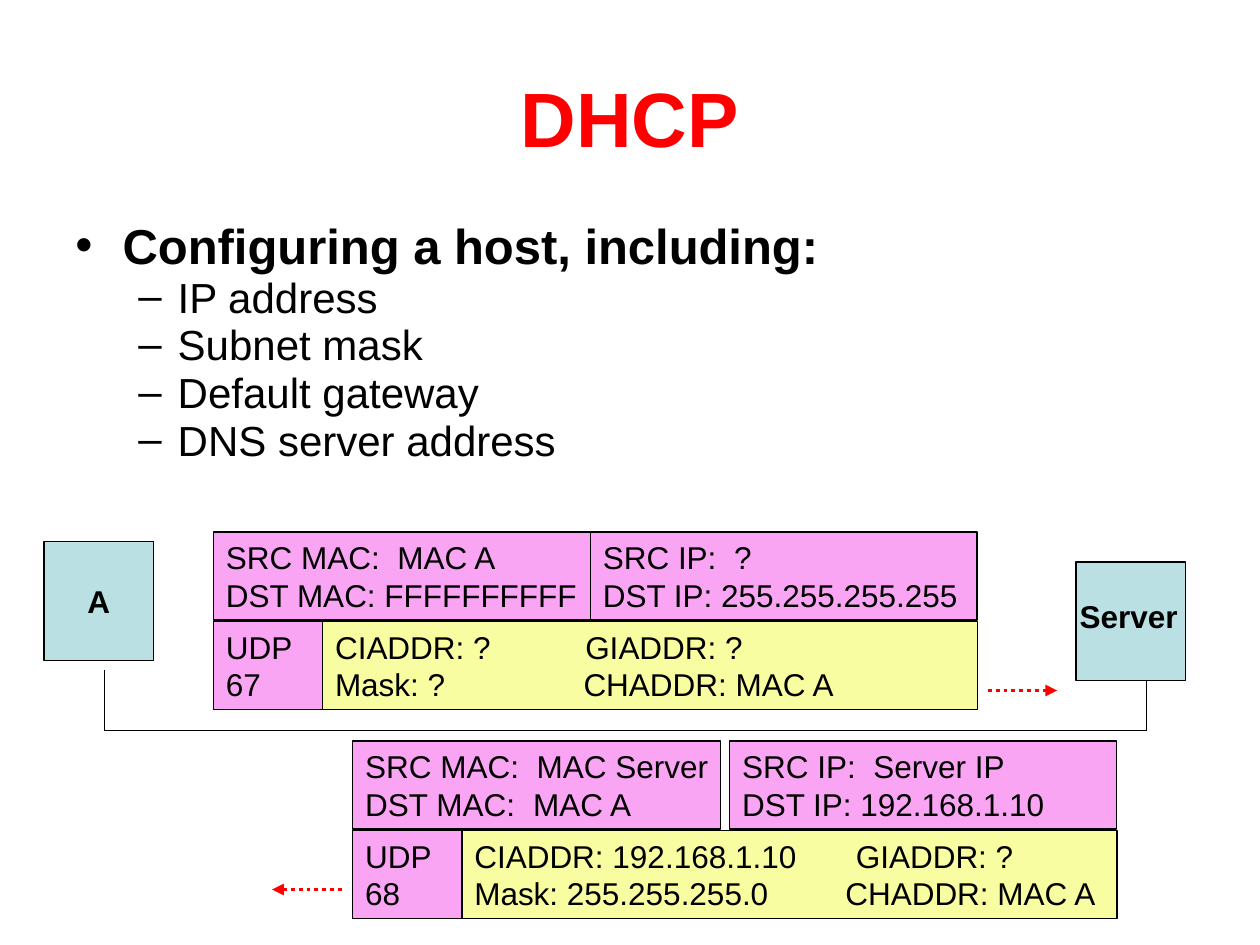
from lxml import etree
from pptx import Presentation
from pptx.dml.color import RGBColor
from pptx.enum.dml import MSO_LINE
from pptx.enum.shapes import MSO_CONNECTOR, MSO_SHAPE
from pptx.enum.text import MSO_ANCHOR, PP_ALIGN
from pptx.oxml.ns import qn
from pptx.util import Pt

RECT = MSO_SHAPE.RECTANGLE
STRAIGHT = MSO_CONNECTOR.STRAIGHT
DOTS = MSO_LINE.ROUND_DOT
TOP, MIDDLE = MSO_ANCHOR.TOP, MSO_ANCHOR.MIDDLE
LEFT, CENTER = PP_ALIGN.LEFT, PP_ALIGN.CENTER

COLORS = {"ink": "000000", "red": "FF0000", "host": "BBE0E3",
          "head": "FAA4F4", "data": "F9FDA1"}
FONT = {"name": "Arial", "size": Pt(18), "bold": False}
BOLD = {"bold": True}
TITLE = {"size": Pt(44), "bold": True}
LEVELS = [
    {"mark": "•", "indent": 27, "hang": 27, "font": {"size": Pt(28), "bold": True}},
    {"mark": "–", "indent": 58.5, "hang": 22.5, "font": {"size": Pt(24)}},
]
POINTS = [(0, "Configuring a host, including:"), (1, "IP address"),
          (1, "Subnet mask"), (1, "Default gateway"), (1, "DNS server address")]

ROW, STEP = 50.4, 51.1
UDP_W, DATA_W, IP_X, IP_W = 62.4, 374.4, 215.4, 221


def rgb(name):
    return RGBColor.from_string(COLORS[name])


def set_font(para, style, color="ink"):
    for key, value in {**FONT, **style}.items():
        setattr(para.font, key, value)
    para.font.color.rgb = rgb(color)


def add_tab(para, pos):
    tabs = etree.SubElement(para._p.get_or_add_pPr(), qn("a:tabLst"))
    etree.SubElement(tabs, qn("a:tab"), pos=str(Pt(pos)), algn="l")


def add_mark(para, mark, indent, hang):
    props = para._p.get_or_add_pPr()
    props.set("marL", str(Pt(indent)))
    props.set("indent", str(-Pt(hang)))
    etree.SubElement(props, qn("a:buFont"), typeface=FONT["name"])
    etree.SubElement(props, qn("a:buChar"), char=mark)


def write(shape, lines, style=FONT, color="ink", align=LEFT, anchor=TOP, wrap=True):
    """Fill a shape with (text, tab stop) lines; a stop of None adds no tab."""
    frame = shape.text_frame
    frame.word_wrap = wrap
    frame.vertical_anchor = anchor
    for i, (text, stop) in enumerate(lines):
        para = frame.add_paragraph() if i else frame.paragraphs[0]
        para.text = text
        para.alignment = align
        if stop:
            add_tab(para, stop)
        set_font(para, style, color)


def add_text(slide, x, y, w, h):
    return slide.shapes.add_textbox(Pt(x), Pt(y), Pt(w), Pt(h))


def add_box(slide, x, y, w, h, fill):
    box = slide.shapes.add_shape(RECT, Pt(x), Pt(y), Pt(w), Pt(h))
    box.shadow.inherit = False
    box.fill.solid()
    box.fill.fore_color.rgb = rgb(fill)
    box.line.color.rgb = rgb("ink")
    box.line.width = Pt(0.75)
    return box


def add_line(slide, x1, y1, x2, y2, color="ink", width=0.75):
    line = slide.shapes.add_connector(STRAIGHT, Pt(x1), Pt(y1), Pt(x2), Pt(y2))
    etree.SubElement(line._element.spPr, qn("a:effectLst"))
    line.line.color.rgb = rgb(color)
    line.line.width = Pt(width)
    return line


def add_arrow(slide, x1, x2, y, end):
    """Draw a red dotted line with its head at headEnd or tailEnd."""
    arrow = add_line(slide, x1, y, x2, y, "red", 2.25)
    arrow.line.dash_style = DOTS
    etree.SubElement(arrow.line._get_or_add_ln(), qn("a:" + end), type="triangle")


def add_list(slide):
    frame = add_text(slide, 36, 126, 648, 150).text_frame
    frame.word_wrap = True
    for i, (depth, text) in enumerate(POINTS):
        para = frame.add_paragraph() if i else frame.paragraphs[0]
        level = LEVELS[depth]
        para.text = text
        para.level = depth
        para.line_spacing = 0.8
        if i:
            para.space_before = Pt(4.2)
        add_mark(para, level["mark"], level["indent"], level["hang"])
        set_font(para, level["font"])


def add_packet(slide, x, y, mac_w, mac, ip, port, data):
    """Draw a DHCP message: MAC and IP cells above UDP and data cells."""
    low = y + STEP
    udp = [("UDP", None), (port, None)]
    cells = [(x, y, mac_w, "head", mac), (x + IP_X, y, IP_W, "head", ip),
             (x, low, UDP_W, "head", udp), (x + UDP_W, low, DATA_W, "data", data)]
    for left, top, width, fill, lines in cells:
        box = add_box(slide, left, top, width, ROW, fill)
        write(box, lines, wrap=lines is not mac)


def main():
    deck = Presentation()
    deck.slide_width, deck.slide_height = Pt(720), Pt(540)
    slide = deck.slides.add_slide(deck.slide_layouts[6])

    write(add_text(slide, 36, 21.6, 648, 90), [("DHCP", None)],
          TITLE, "red", CENTER, MIDDLE)
    add_list(slide)

    host = add_box(slide, 25.2, 309.6, 62.6, 67.7, "host")
    write(host, [("A", None)], BOLD, align=CENTER, anchor=MIDDLE, wrap=False)
    add_box(slide, 614.9, 321.1, 62.6, 67.7, "host")

    add_line(slide, 59.8, 417.6, 655.2, 417.6)
    add_line(slide, 59.8, 383, 59.8, 417.6)
    add_line(slide, 655.2, 417.6, 655.2, 388.8)

    add_packet(slide, 122, 304, 215.3,
               [("SRC MAC:\tMAC A", 98), ("DST MAC: FFFFFFFFFF", None)],
               [("SRC IP:\t?", 75), ("DST IP: 255.255.255.255", None)], "67",
               [("CIADDR: ?\tGIADDR: ?", 143), ("Mask: ?\tCHADDR: MAC A", 142)])
    add_arrow(slide, 564.5, 604.1, 394.6, "tailEnd")

    add_packet(slide, 201.6, 423.4, 210.2,
               [("SRC MAC:\tMAC Server", 98), ("DST MAC:\tMAC A", 96)],
               [("SRC IP:\tServer IP", 75), ("DST IP: 192.168.1.10", None)], "68",
               [("CIADDR: 192.168.1.10\tGIADDR: ?", 218),
                ("Mask: 255.255.255.0\tCHADDR: MAC A", 212)])
    add_arrow(slide, 155.5, 195.8, 508.3, "headEnd")

    write(add_text(slide, 609.8, 337.7, 70.6, 28.8), [("Server", None)],
          BOLD, wrap=False)
    deck.save("out.pptx")


if __name__ == "__main__":
    main()
